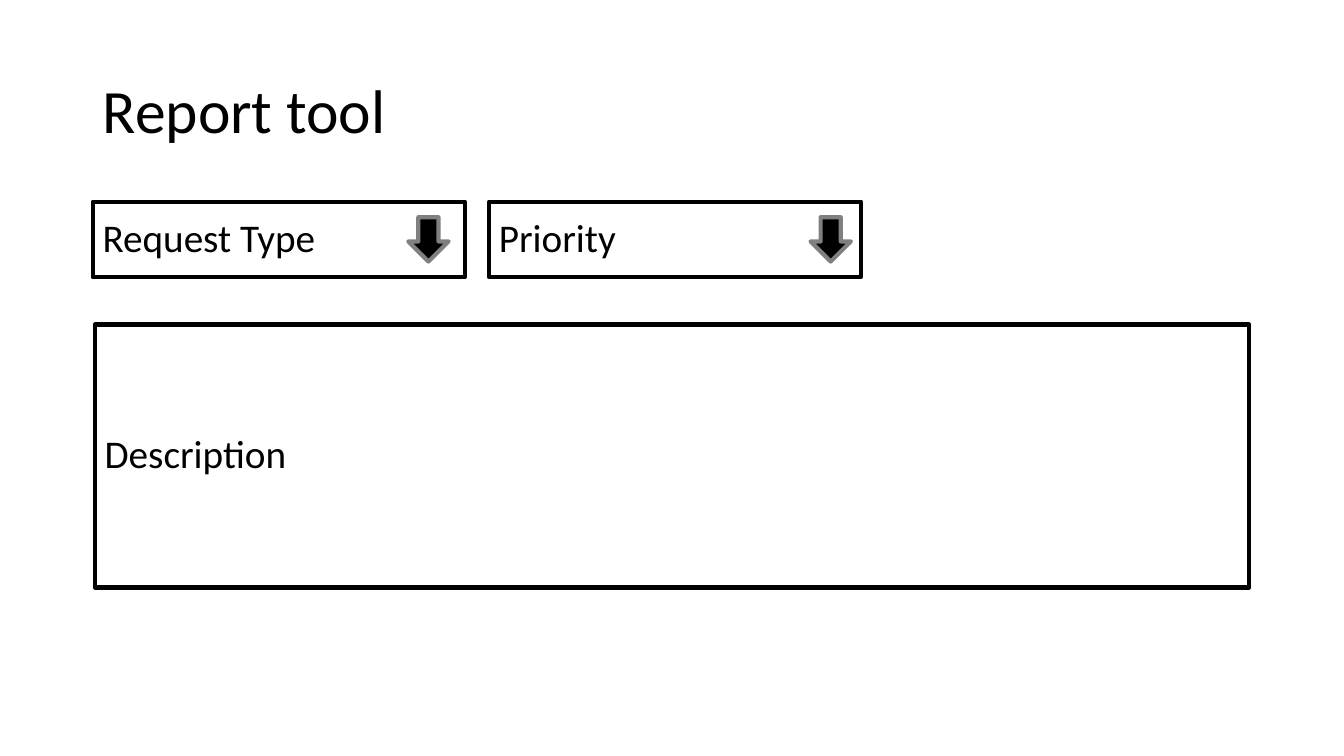
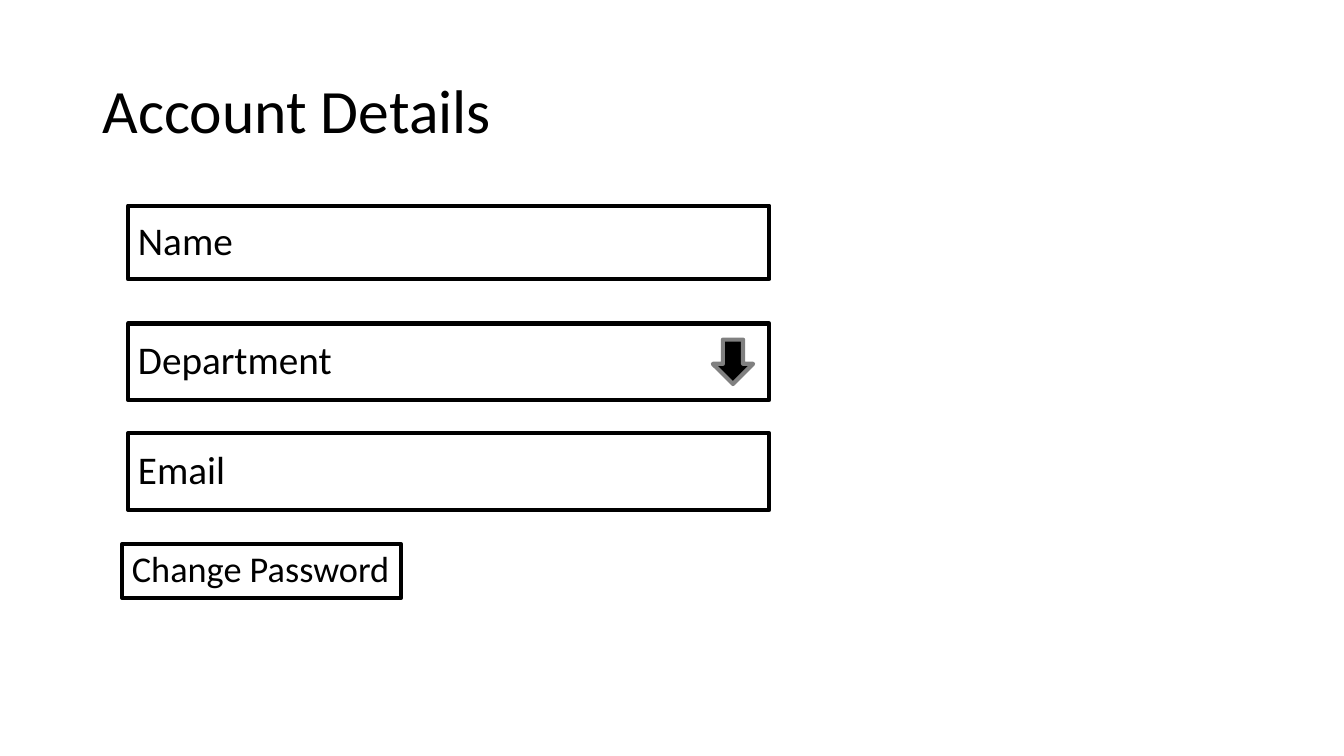
from pptx import Presentation
from pptx.dml.color import RGBColor
from pptx.enum.shapes import MSO_SHAPE
from pptx.enum.text import MSO_ANCHOR, PP_ALIGN
from pptx.util import Inches, Pt

WIDTH, HEIGHT = Inches(13.33), Inches(7.5)
FONT = "Calibri"
INK, PAPER, ARROW_EDGE = "000000", "FFFFFF", "808080"
ARROW_WIDTH, ARROW_HEIGHT = 3, 5.87


def color(hex_value):
    return RGBColor.from_string(hex_value)


def place(left, top, width, height):
    return (round(WIDTH * left / 100), round(HEIGHT * top / 100),
            round(WIDTH * width / 100), round(HEIGHT * height / 100))


def write(holder, text, size=28, before=10):
    frame = holder.text_frame
    frame.word_wrap = True
    frame.vertical_anchor = MSO_ANCHOR.MIDDLE
    paragraph = frame.paragraphs[0]
    paragraph.alignment = PP_ALIGN.LEFT
    paragraph.line_spacing = 0.9
    paragraph.space_before = Pt(before)
    run = paragraph.add_run()
    run.text = text
    run.font.name = FONT
    run.font.size = Pt(size)
    run.font.color.rgb = color(INK)


def add_outlined(slide, preset, area, fill, edge):
    outlined = slide.shapes.add_shape(preset, *place(*area))
    outlined.shadow.inherit = False
    outlined.fill.solid()
    outlined.fill.fore_color.rgb = color(fill)
    outlined.line.color.rgb = color(edge)
    outlined.line.width = Pt(3)
    return outlined


def add_page(deck, title):
    slide = deck.slides.add_slide(deck.slide_layouts[6])
    heading = slide.shapes.add_textbox(*place(6.9, 5.33, 86.27, 19.33))
    write(heading, title, size=44, before=0)
    return slide


def add_field(slide, label, area, **text_format):
    field = add_outlined(slide, MSO_SHAPE.RECTANGLE, area, PAPER, INK)
    write(field, label, **text_format)


def add_dropdown(slide, label, area, inset=1.2):
    add_field(slide, label, area)
    left, top, width, height = area
    arrow_area = (left + width - inset - ARROW_WIDTH,
                  top + (height - ARROW_HEIGHT) / 2,
                  ARROW_WIDTH, ARROW_HEIGHT)
    add_outlined(slide, MSO_SHAPE.DOWN_ARROW, arrow_area, INK, ARROW_EDGE)


def build_report(deck):
    slide = add_page(deck, "Report tool")
    add_dropdown(slide, "Request Type", (6.9, 26.67, 27.68, 10))
    add_dropdown(slide, "Priority", (36.38, 26.67, 27.68, 10), inset=0.75)
    add_field(slide, "Description", (7.05, 42.93, 85.9, 34.8))


def build_account(deck):
    slide = add_page(deck, "Account Details")
    left, width = 9.53, 47.71
    add_field(slide, "Name", (left, 27.2, width, 9.73))
    add_dropdown(slide, "Department", (left, 42.8, width, 10.13))
    add_field(slide, "Email", (left, 57.33, width, 10.13))
    add_field(slide, "Change Password", (9.08, 72, 20.78, 7.07), size=25.9)


def main():
    deck = Presentation()
    deck.slide_width, deck.slide_height = WIDTH, HEIGHT
    build_report(deck)
    build_account(deck)
    deck.save("out.pptx")


main()
